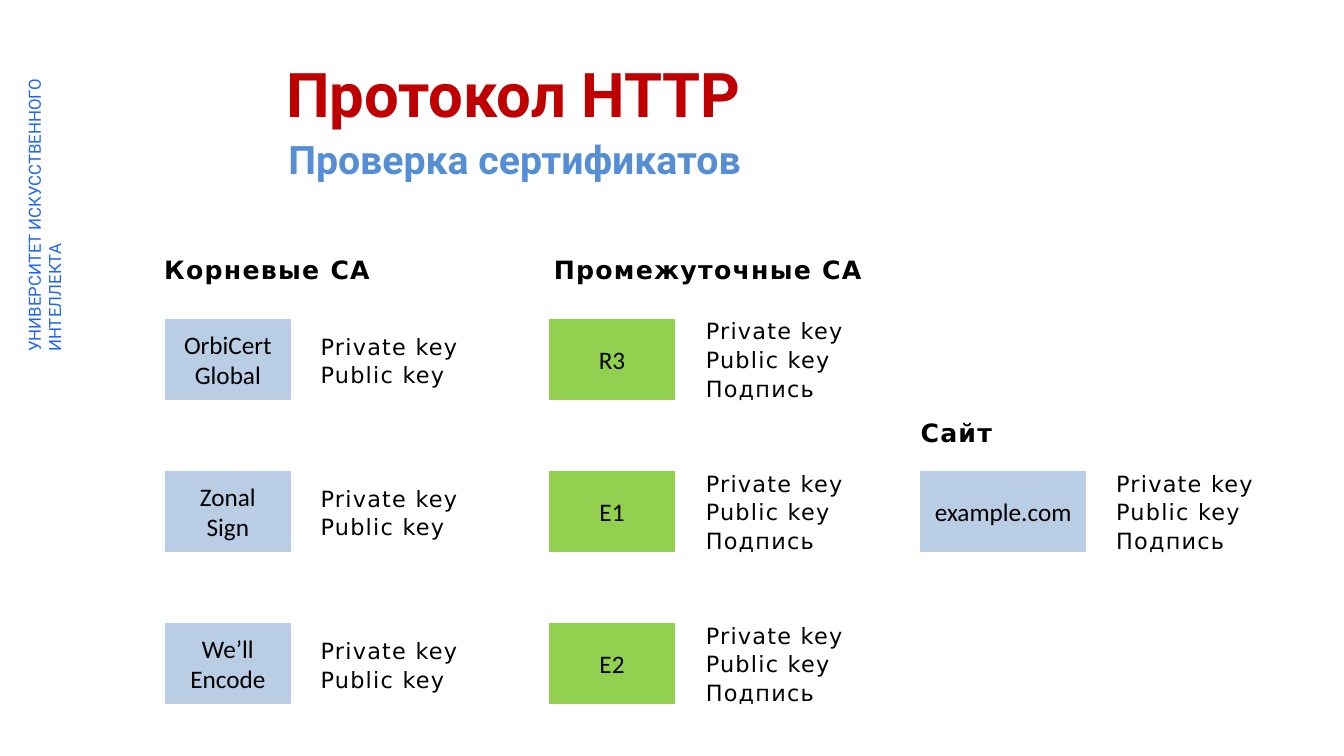
"""Build the slide on certificate checks in the HTTP protocol."""
import pptx
import pptx.dml.color
import pptx.enum.shapes
import pptx.enum.text
import pptx.util

Inches = pptx.util.Inches
Pt = pptx.util.Pt
Align = pptx.enum.text.PP_ALIGN

SIDE = "УНИВЕРСИТЕТ ИСКУССТВЕННОГО ИНТЕЛЛЕКТА"
TITLE = "Протокол HTTP"
TOPIC = "Проверка сертификатов"
KEYS = ["Private key", "Public key"]
SIGNED = KEYS + ["Подпись"]

GROUPS = [
    dict(head="Корневые CA", spot=(1.46, 2.5, 2.36), align=Align.CENTER,
         left=1.62, width=1.28, fill="root", row=0, keys=KEYS, key_left=3.16, shift=0.13,
         names=[["OrbiCert Global"], ["Zonal", "Sign"], ["We’ll Encode"]]),
    dict(head="Промежуточные CA", spot=(5.3, 2.5, 3.42), align=Align.CENTER,
         left=5.43, width=1.28, fill="middle", row=0, keys=SIGNED, key_left=6.98, shift=-0.02,
         names=[["R3"], ["E1"], ["E2"]]),
    dict(head="Сайт", spot=(9.11, 4.12, 1.61), align=Align.LEFT,
         left=9.11, width=1.68, fill="root", row=1, keys=SIGNED, key_left=11.05, shift=-0.02,
         names=[["example.com"]]),
]
TOP, STEP, HIGH = 3.15, 1.51, 0.83

THEME = {
    "fill": {"root": "B9CDE5", "middle": "92D050", "edge": "FFFFFF"},
    "side": dict(face="Roboto", size=12, color="2064FA", bold=False, gap=0),
    "title": dict(face="Roboto", size=44, color="C00000", bold=True, gap=0),
    "topic": dict(face="Roboto", size=28, color="558ED5", bold=True, gap=0),
    "head": dict(face="DejaVu Sans", size=18, color="000000", bold=True, gap=90),
    "key": dict(face="DejaVu Sans", size=16, color="000000", bold=False, gap=90),
    "box": dict(face="Calibri", size=18, color="000000", bold=False, gap=0),
}


def color(code):
    return pptx.dml.color.RGBColor.from_string(code)


def write(frame, lines, style, align=Align.LEFT, indent=0, before=0):
    look = THEME[style]
    frame.word_wrap = True
    for order, line in enumerate(lines):
        para = frame.add_paragraph() if order else frame.paragraphs[0]
        para.text = line
        para.alignment = align
        if order and before:
            para.space_before = Pt(before)
        props = para._p.get_or_add_pPr()
        if indent:
            props.set("marL", str(Inches(indent)))
        font = para.font
        font.name = look["face"]
        font.size = Pt(look["size"])
        font.bold = look["bold"]
        font.color.rgb = color(look["color"])
        if look["gap"]:
            props.get_or_add_defRPr().set("spc", str(look["gap"]))


def add_text(slide, spot, lines, style, align=Align.LEFT, inset=0.02):
    frame = slide.shapes.add_textbox(*map(Inches, spot)).text_frame
    frame.margin_left = frame.margin_right = frame.margin_bottom = 0
    frame.margin_top = Inches(inset)
    frame.auto_size = pptx.enum.text.MSO_AUTO_SIZE.SHAPE_TO_FIT_TEXT
    write(frame, lines, style, align, indent=0.02, before=1.3)
    return frame


def add_box(slide, spot, lines, fill):
    box = slide.shapes.add_shape(pptx.enum.shapes.MSO_SHAPE.RECTANGLE, *map(Inches, spot))
    box.shadow.inherit = False
    box.fill.solid()
    box.fill.fore_color.rgb = color(THEME["fill"][fill])
    box.line.color.rgb = color(THEME["fill"]["edge"])
    box.line.width = Pt(2)
    box.text_frame.vertical_anchor = pptx.enum.text.MSO_ANCHOR.MIDDLE
    write(box.text_frame, lines, "box", Align.CENTER)


def add_group(slide, group):
    add_text(slide, (*group["spot"], 0.32), [group["head"]], "head", group["align"])
    for row, name in enumerate(group["names"], group["row"]):
        top = TOP + row * STEP
        add_box(slide, (group["left"], top, group["width"], HIGH), name, group["fill"])
        tall = 0.29 * len(group["keys"])
        add_text(slide, (group["key_left"], top + group["shift"], 1.55, tall),
                 group["keys"], "key")


def main():
    deck = pptx.Presentation()
    deck.slide_width, deck.slide_height = Inches(13.33), Inches(7.5)
    slide = deck.slides.add_slide(deck.slide_layouts[6])
    side = add_text(slide, (0.24, 0.55, 0.4, 2.96), [SIDE], "side", inset=0.05)
    side._txBody.bodyPr.set("vert", "vert270")
    title = add_text(slide, (2.82, 0.44, 5.15, 0.77), [TITLE], "title")
    title.paragraphs[0].line_spacing = Pt(59.3)
    add_text(slide, (2.84, 1.32, 5.15, 0.49), [TOPIC], "topic")
    for group in GROUPS:
        add_group(slide, group)
    deck.save("out.pptx")


if __name__ == "__main__":
    main()
